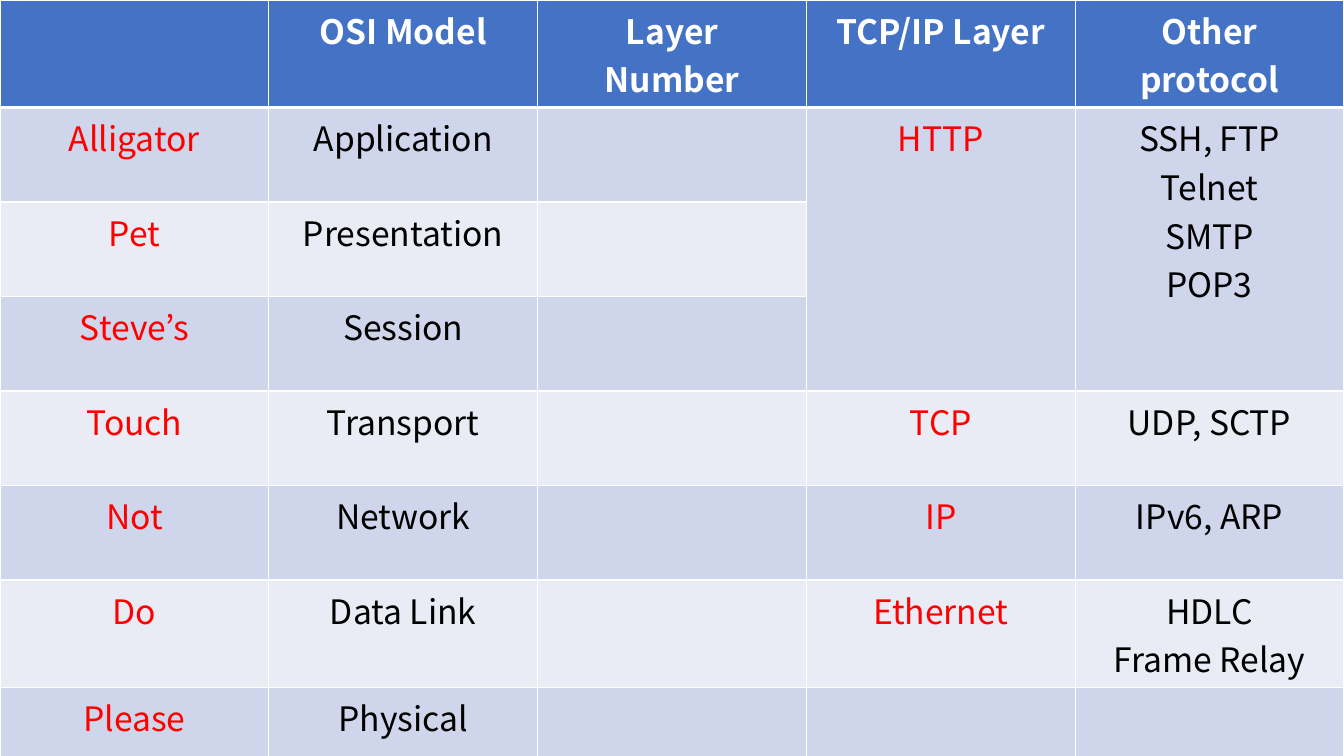
from lxml import etree
from pptx import Presentation
from pptx import util as u
from pptx.dml.color import RGBColor
from pptx.enum import text
from pptx.oxml import ns

COLORS = {"header": "4472C4", "odd": "CFD5EA", "even": "E9EBF5",
          "white": "FFFFFF", "black": "000000", "red": "FF0000"}
FONT = "Noto Sans CJK KR"
RED_COLUMNS = (0, 3)
APPLICATION_ROWS = (1, 3)
ROWS = [
    ("", "OSI Model", "Layer\nNumber", "TCP/IP Layer", "Other\nprotocol"),
    ("Alligator", "Application", "", "HTTP", "SSH, FTP\nTelnet\nSMTP\nPOP3"),
    ("Pet", "Presentation", "", "", ""),
    ("Steve’s", "Session", "", "", ""),
    ("Touch", "Transport", "", "TCP", "UDP, SCTP"),
    ("Not", "Network", "", "IP", "IPv6, ARP"),
    ("Do", "Data Link", "", "Ethernet", "HDLC\nFrame Relay"),
    ("Please", "Physical", "", "", ""),
]


def add_borders(cell, widths):
    """Draw white cell borders, given a width in points for each side."""
    properties = cell._tc.get_or_add_tcPr()
    for side, width in widths.items():
        line = etree.SubElement(properties, ns.qn(f"a:ln{side}"), w=str(u.Pt(width)))
        fill = etree.SubElement(line, ns.qn("a:solidFill"))
        etree.SubElement(fill, ns.qn("a:srgbClr"), val=COLORS["white"])


def fill_cell(cell, content, fill, color, bold):
    """Set the fill of a cell and write its centred lines."""
    cell.fill.solid()
    cell.fill.fore_color.rgb = RGBColor.from_string(COLORS[fill])
    cell.text = content
    for paragraph in cell.text_frame.paragraphs:
        paragraph.alignment = text.PP_ALIGN.CENTER
        paragraph.font.name = FONT
        paragraph.font.size = u.Pt(24)
        paragraph.font.bold = bold
        paragraph.font.color.rgb = RGBColor.from_string(COLORS[color])


presentation = Presentation()
presentation.slide_width = u.Inches(13.33)
presentation.slide_height = u.Inches(7.5)
slide = presentation.slides.add_slide(presentation.slide_layouts[6])

table = slide.shapes.add_table(
    len(ROWS), len(ROWS[0]), 0, 0,
    presentation.slide_width, presentation.slide_height).table

for row, contents in enumerate(ROWS):
    header = row == 0
    fill = "header" if header else ("even", "odd")[row % 2]
    for column, content in enumerate(contents):
        cell = table.cell(row, column)
        color = "white" if header else "red" if column in RED_COLUMNS else "black"
        add_borders(cell, {"L": 1, "R": 1, "T": 3 if row == 1 else 1,
                           "B": 3 if header else 1})
        fill_cell(cell, content, fill, color, header)

first, last = APPLICATION_ROWS
for column in (3, 4):
    table.cell(first, column).merge(table.cell(last, column))

presentation.save("out.pptx")
